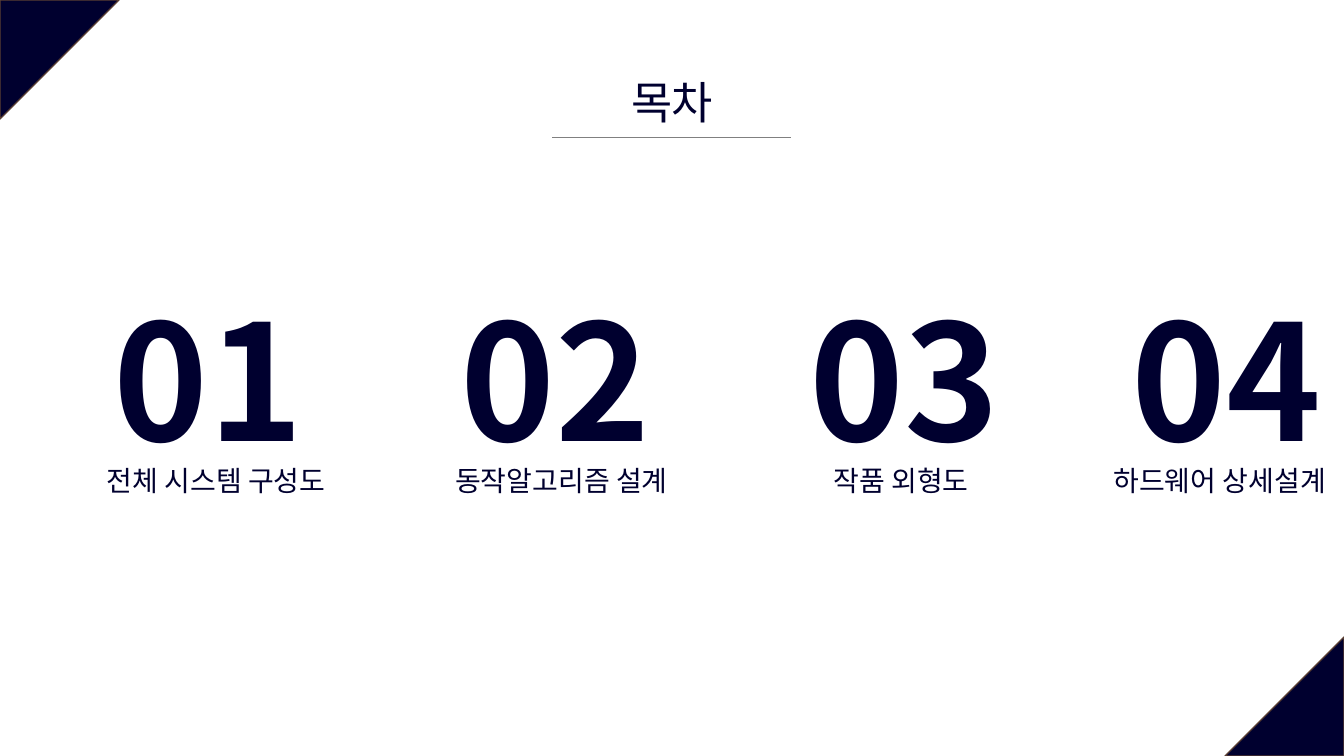
"""Build a Korean table-of-contents slide with four numbered sections."""
from dataclasses import dataclass

import lxml.etree
import pptx
import pptx.dml.color
import pptx.enum.shapes
import pptx.enum.text
import pptx.oxml.ns
import pptx.util

Pt = pptx.util.Pt
Shapes = pptx.enum.shapes.MSO_SHAPE
Anchor = pptx.enum.text.MSO_ANCHOR
Align = pptx.enum.text.PP_ALIGN
qn = pptx.oxml.ns.qn

FONT = "Noto Sans CJK KR"
NAVY, BROWN, WHITE, GRAY = "00002F", "5B3F33", "FFFFFF", "808080"
WIDTH, HEIGHT = 960, 540
CORNER_SIZE = 85
NUMBER_TOP, NUMBER_WIDTH, NUMBER_HEIGHT = 196.6, 158.4, 146.9
LABEL_TOP, LABEL_HEIGHT = 324.7, 36.7


@dataclass(frozen=True)
class Corner:
    left: float
    top: float
    rotation: int


@dataclass(frozen=True)
class Section:
    label: str
    number_left: float
    label_left: float
    label_width: float


CORNERS = (
    Corner(0, 0, 90),
    Corner(WIDTH - CORNER_SIZE, HEIGHT - CORNER_SIZE, 270),
)
SECTIONS = (
    Section("전체 시스템 구성도", 74.2, 59, 190.8),
    Section("동작알고리즘 설계", 321.8, 291.6, 218.9),
    Section("작품 외형도", 571, 542.2, 203),
    Section("하드웨어 상세설계", 801.4, 769.7, 203),
)


def set_color(color_format, value: str) -> None:
    """Apply a hex colour to a fill or line format."""
    color_format.solid()
    color_format.fore_color.rgb = pptx.dml.color.RGBColor.from_string(value)


def write(shape, text: str, size: float, align, anchor, bold: bool = False,
          spacing: int = 0) -> None:
    """Write one formatted run into a shape."""
    frame = shape.text_frame
    frame.vertical_anchor = anchor
    para = frame.paragraphs[0]
    para.alignment = align
    span = para.add_run()
    span.text = text
    span.font.size = Pt(size)
    span.font.bold = bold
    span.font.name = FONT
    set_color(span.font.fill, NAVY)
    properties = span._r.get_or_add_rPr()
    lxml.etree.SubElement(properties, qn("a:ea")).set("typeface", FONT)
    if spacing:
        properties.set("spc", str(spacing))


def add_preset(page, preset, left: float, top: float, width: float,
               height: float, fill: str, line: str):
    """Add a flat preset shape with a one-point outline."""
    shape = page.shapes.add_shape(preset, Pt(left), Pt(top), Pt(width), Pt(height))
    shape.shadow.inherit = False
    set_color(shape.fill, fill)
    set_color(shape.line.fill, line)
    shape.line.width = Pt(1)
    return shape


def add_corner(page, corner: Corner) -> None:
    """Add a right triangle that fills a slide corner."""
    triangle = add_preset(page, Shapes.ISOSCELES_TRIANGLE, corner.left, corner.top,
                          CORNER_SIZE, CORNER_SIZE, NAVY, BROWN)
    triangle.adjustments[0] = 0
    triangle.rotation = corner.rotation


def add_title(page) -> None:
    """Fill the title placeholder and underline it."""
    title = page.shapes.title
    title.left, title.top, title.width, title.height = Pt(442), Pt(49.7), Pt(76.3), Pt(46)
    title.text_frame.word_wrap = False
    title.text_frame.auto_size = pptx.enum.text.MSO_AUTO_SIZE.NONE
    write(title, "목차", 32, Align.CENTER, Anchor.TOP, spacing=-150)
    rule = page.shapes.add_connector(pptx.enum.shapes.MSO_CONNECTOR.STRAIGHT,
                                     Pt(394.6), Pt(98), Pt(565.2), Pt(98))
    set_color(rule.line.fill, GRAY)
    rule.line.width = Pt(0.5)
    lxml.etree.SubElement(rule._element.spPr, qn("a:effectLst"))


def add_section(page, number: int, section: Section) -> None:
    """Add a large section number with its label below."""
    box = page.shapes.add_textbox(Pt(section.number_left), Pt(NUMBER_TOP),
                                  Pt(NUMBER_WIDTH), Pt(NUMBER_HEIGHT))
    box.text_frame.word_wrap = True
    write(box, f"{number:02d}", 115, Align.LEFT, Anchor.TOP, bold=True)
    label = add_preset(page, Shapes.RECTANGLE, section.label_left, LABEL_TOP,
                       section.label_width, LABEL_HEIGHT, WHITE, WHITE)
    color = label._element.spPr.find(qn("a:solidFill")).find(qn("a:srgbClr"))
    lxml.etree.SubElement(color, qn("a:alpha")).set("val", "80000")
    write(label, section.label, 20, Align.CENTER, Anchor.MIDDLE)


def main() -> None:
    """Create the deck and save it."""
    deck = pptx.Presentation()
    deck.slide_width, deck.slide_height = Pt(WIDTH), Pt(HEIGHT)
    page = deck.slides.add_slide(deck.slide_layouts.get_by_name("Title Only"))
    set_color(page.background.fill, WHITE)
    for corner in CORNERS:
        add_corner(page, corner)
    add_title(page)
    for number, section in enumerate(SECTIONS, start=1):
        add_section(page, number, section)
    deck.save("out.pptx")


if __name__ == "__main__":
    main()
